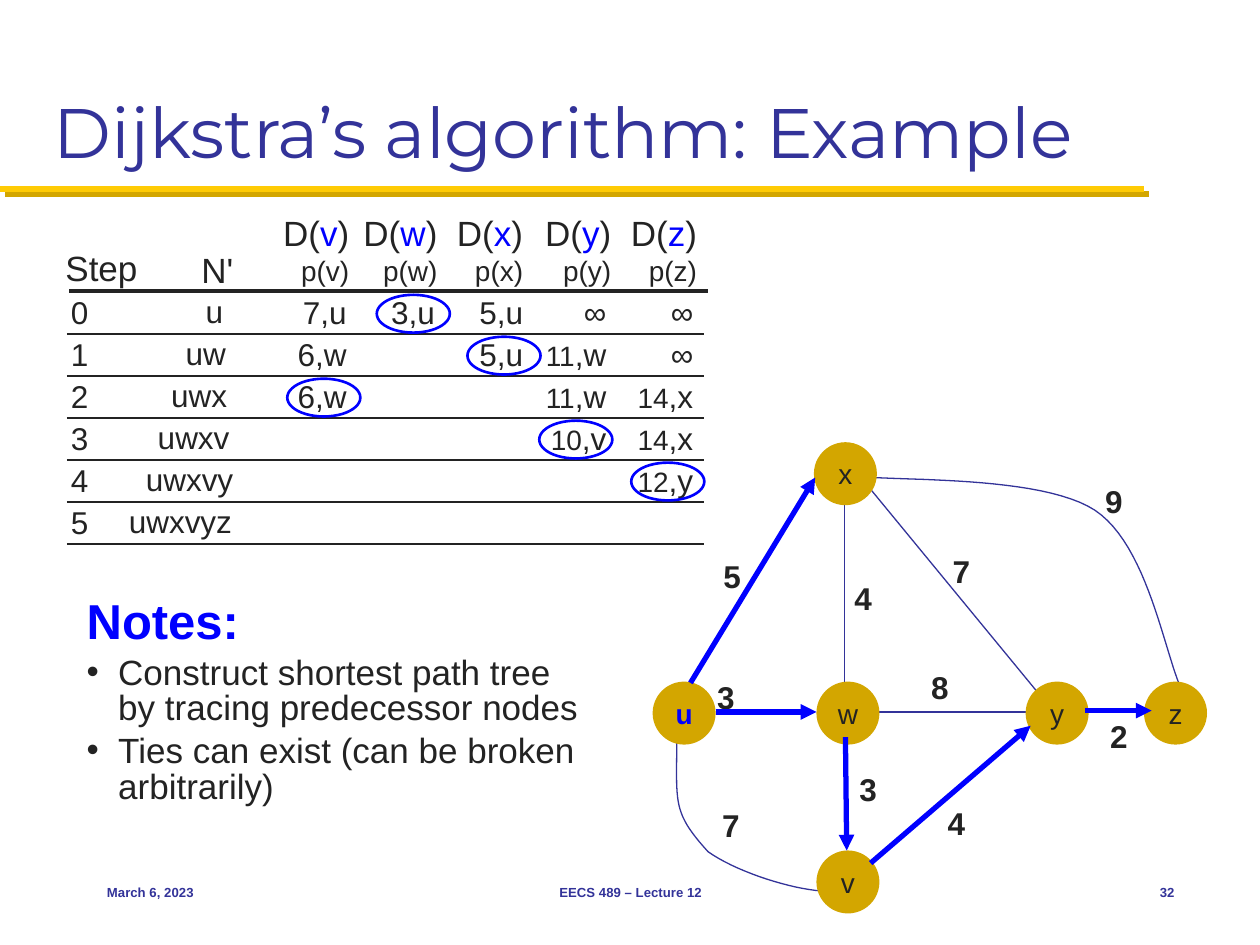
from lxml.etree import SubElement
from pptx import Presentation
from pptx.dml.color import RGBColor
from pptx.enum.shapes import MSO_CONNECTOR, MSO_SHAPE
from pptx.enum.text import MSO_ANCHOR as Anchor, PP_ALIGN as Align
from pptx.oxml.ns import qn
from pptx.util import Inches, Pt

INK = RGBColor(0x23, 0x23, 0x23)
BLUE = RGBColor(0x00, 0x00, 0xFF)
NAVY = RGBColor(0x33, 0x33, 0x99)
YELLOW = RGBColor(0xFF, 0xCB, 0x05)
GOLD = RGBColor(0xD3, 0xA6, 0x00)

FOOTER = {"size": Pt(7.5), "color": NAVY, "bold": True}
CELL = {"size": Pt(18), "color": INK}
HEADING = {"size": Pt(20), "color": INK}
SUBHEADING = {"size": Pt(16), "color": INK}
WEIGHT = {"size": Pt(18), "color": INK, "bold": True}
NODE_SIZE = 0.5

# Column name: right edge of heading, right edge of cells, left of ring
COLUMNS = {
    "v": (2.87, 2.85, 2.28),
    "w": (3.57, 3.55, 2.99),
    "x": (4.25, 4.25, 3.71),
    "y": (4.95, 4.91, 4.28),
    "z": (5.63, 5.6, 5.01),
}
# Nodes reached, right edge of that text, distances by column, column ringed
STEPS = [
    ("u", 1.87, {"v": "7,u", "w": "3,u", "x": "5,u", "y": "∞", "z": "∞"}, "w"),
    ("uw", 1.89, {"v": "6,w", "x": "5,u", "y": "11,w", "z": "∞"}, "x"),
    ("uwx", 1.9, {"v": "6,w", "y": "11,w", "z": "14,x"}, "v"),
    ("uwxv", 1.92, {"y": "10,v", "z": "14,x"}, "y"),
    ("uwxvy", 1.95, {"z": "12,y"}, "z"),
    ("uwxvyz", 1.94, {}, None),
]
ROW_HEIGHT = 0.333
CHARACTER_WIDTHS = {"w": 0.19, "∞": 0.19, ",": 0.08}

# Positions in the graph are relative to its left top corner
GRAPH = (5.18, 3.51)
NODES = {"x": (1.28, 0), "u": (0, 1.9), "z": (3.9, 1.9),
         "v": (1.3, 3.24), "y": (2.96, 1.9), "w": (1.3, 1.9)}
WEIGHTS = [("3", 0.41, 1.82), ("4", 1.5, 1.04), ("5", 0.46, 0.86),
           ("3", 1.54, 2.55), ("7", 0.45, 2.84), ("4", 2.24, 2.82),
           ("8", 2.11, 1.74), ("2", 3.53, 2.13), ("7", 2.28, 0.82),
           ("9", 3.49, 0.27)]
PLAIN_EDGES = [((1.52, 0.39), (1.52, 1.96)), ((1.62, 0.24), (3.15, 2.1)),
               ((1.78, 2.14), (2.98, 2.14))]
TREE_EDGES = [((3.43, 2.13), (3.96, 2.13)), ((1.73, 3.34), (3, 2.25)),
              ((1.53, 2.34), (1.54, 3.24)), ((0.3, 1.91), (1.29, 0.28)),
              ((0.5, 2.14), (1.3, 2.14))]
CURVED_EDGES = [
    [(0.19, 2.26), (0.2, 2.85), (0.13, 2.91), (0.44, 3.25),
     (0.75, 3.47), (1.46, 3.65), (1.55, 3.52)],
    [(1.62, 0.27), (1.93, 0.31), (3.08, 0.26), (3.51, 0.54),
     (3.93, 0.82), (4.06, 1.67), (4.2, 1.97)],
]


def add_run(paragraph, text, style, font_name="Arial"):
    run = paragraph.add_run()
    run.text = text
    run.font.name = font_name
    for name, value in style.items():
        if name == "color":
            run.font.color.rgb = value
        else:
            setattr(run.font, name, value)


def add_text(slide, box, paragraphs, align=Align.LEFT, anchor=Anchor.TOP,
             font_name="Arial"):
    """Add a text box; each paragraph is a list of (text, style) runs."""
    shape = slide.shapes.add_textbox(*map(Inches, box))
    frame = shape.text_frame
    frame.word_wrap = True
    frame.vertical_anchor = anchor
    for index, runs in enumerate(paragraphs):
        paragraph = frame.add_paragraph() if index else frame.paragraphs[0]
        paragraph.alignment = align
        for text, style in runs:
            add_run(paragraph, text, style, font_name)
    return frame


def add_line(slide, start, end, color, width):
    line = slide.shapes.add_connector(
        MSO_CONNECTOR.STRAIGHT, *map(Inches, (*start, *end)))
    line.line.color.rgb = color
    line.line.width = Pt(width)
    SubElement(line._element.spPr, qn("a:effectLst"))
    return line


def add_ellipse(slide, box):
    shape = slide.shapes.add_shape(MSO_SHAPE.OVAL, *map(Inches, box))
    shape.shadow.inherit = False
    return shape


def add_curve(slide, points):
    """Draw a chain of cubic Bezier curves as a fine open outline."""
    steps = 24
    outline = []
    for first in range(0, len(points) - 1, 3):
        a, b, c, d = points[first:first + 4]
        for step in range(steps + 1):
            t = step / steps
            s = 1 - t
            outline.append(tuple(
                Inches(s**3 * a[i] + 3 * s * s * t * b[i]
                       + 3 * s * t * t * c[i] + t**3 * d[i])
                for i in range(2)))
    builder = slide.shapes.build_freeform(*outline[0], scale=1.0)
    builder.add_line_segments(outline[1:], close=False)
    curve = builder.convert_to_shape()
    curve.shadow.inherit = False
    curve.fill.background()
    curve.line.color.rgb = NAVY
    curve.line.width = Pt(0.75)


def add_title(slide, box):
    rule = add_line(slide, (0, 1.5), (9.08, 1.5), YELLOW, 3.5)
    effects = rule._element.spPr.find(qn("a:effectLst"))
    shadow = SubElement(effects, qn("a:outerShdw"), dist=str(Pt(4.2)),
                        dir="2700000", algn="ctr", rotWithShape="0")
    SubElement(shadow, qn("a:srgbClr"), val=str(GOLD))
    add_text(slide, box, [[("Dijkstra’s algorithm: Example",
                            {"size": Pt(40), "color": NAVY})]],
             anchor=Anchor.BOTTOM, font_name="Montserrat")


def add_cell(slide, right, top, text):
    width = 0.22 + sum(CHARACTER_WIDTHS.get(letter, 0.14) for letter in text)
    number, comma, node = text.partition(",")
    runs = [(text, CELL)]
    if comma and len(number) == 2:
        runs = [(number, SUBHEADING), (comma + node, CELL)]
    add_text(slide, (right - width, top, width, 0.4), [runs], Align.RIGHT)


def add_steps(slide, left, top):
    add_text(slide, (left - 0.12, top + 0.28, 0.78, 0.44),
             [[("Step", HEADING)]], Align.RIGHT)
    add_text(slide, (left + 0.95, top + 0.29, 0.47, 0.44),
             [[("N'", HEADING)]], Align.RIGHT)
    for name, (heading_right, _, _) in COLUMNS.items():
        heading = [("D(", HEADING), (name, {**HEADING, "color": BLUE}),
                   (")", HEADING)]
        add_text(slide, (heading_right - 0.8, top, 0.8, 0.7),
                 [heading, [(f"p({name})", SUBHEADING)]], Align.RIGHT)

    add_line(slide, (left + 0.02, top + 0.68), (left + 5.09, top + 0.68),
             INK, 2.25)
    for step, (reached, right, distances, ringed) in enumerate(STEPS):
        row_top = top + 0.65 + step * ROW_HEIGHT
        bottom = row_top + 0.37
        add_line(slide, (left, bottom), (left + 5.06, bottom), INK, 1)
        add_cell(slide, left + 0.27, row_top, str(step))
        add_cell(slide, right, row_top - 0.01, reached)
        for name, distance in distances.items():
            add_cell(slide, COLUMNS[name][1], row_top, distance)
        if ringed:
            ring = add_ellipse(
                slide, (COLUMNS[ringed][2], row_top + 0.06, 0.58, 0.3))
            ring.fill.background()
            ring.line.color.rgb = BLUE
            ring.line.width = Pt(1.5)


def add_notes(slide, box):
    heading = {"size": Pt(28), "color": BLUE, "bold": True}
    points = ["Construct shortest path tree by tracing predecessor nodes",
              "Ties can exist (can be broken arbitrarily)"]
    frame = add_text(slide, box, [[("Notes:", heading)]]
                     + [[(point, HEADING)] for point in points])
    for index, paragraph in enumerate(frame.paragraphs):
        paragraph.line_spacing = 0.85
        paragraph.space_before = Pt(4 if index else 5.6)
        if index:
            properties = paragraph._p.get_or_add_pPr()
            properties.set("marL", str(Inches(0.25)))
            properties.set("indent", str(-Inches(0.25)))
            SubElement(properties, qn("a:buFont"), typeface="Arial")
            SubElement(properties, qn("a:buChar"), char="•")


def add_graph(slide, left, top):
    def place(point):
        return left + point[0], top + point[1]

    for start, end in PLAIN_EDGES:
        add_line(slide, place(start), place(end), NAVY, 0.75)
    for points in CURVED_EDGES:
        add_curve(slide, [place(point) for point in points])
    for weight, *corner in WEIGHTS:
        add_text(slide, (*place(corner), 0.34, 0.4), [[(weight, WEIGHT)]],
                 Align.CENTER)
    for name, corner in NODES.items():
        node = add_ellipse(slide, (*place(corner), NODE_SIZE, NODE_SIZE))
        node.fill.solid()
        node.fill.fore_color.rgb = GOLD
        node.line.fill.background()
        frame = node.text_frame
        frame.vertical_anchor = Anchor.MIDDLE
        frame.paragraphs[0].alignment = Align.CENTER
        source = {"color": BLUE, "bold": True} if name == "u" else {}
        add_run(frame.paragraphs[0], name, {**SUBHEADING, **source})
    for start, end in TREE_EDGES:
        arrow = add_line(slide, place(start), place(end), BLUE, 3)
        SubElement(arrow.line._get_or_add_ln(), qn("a:tailEnd"),
                   type="triangle")


def add_footer(slide, top):
    for text, left, width, align in [
            ("March 6, 2023", 0.75, 2.08, Align.LEFT),
            ("EECS 489 – Lecture 12", 3.42, 3.17, Align.CENTER),
            ("32", 8.75, 0.67, Align.RIGHT)]:
        add_text(slide, (left, top, width, 0.5), [[(text, FOOTER)]], align,
                 Anchor.MIDDLE)


def main():
    presentation = Presentation()
    presentation.slide_width = Inches(10)
    presentation.slide_height = Inches(7.5)
    slide = presentation.slides.add_slide(presentation.slide_layouts[6])
    add_title(slide, (0.33, 0.17, 9.33, 1.25))
    add_graph(slide, *GRAPH)
    add_steps(slide, 0.53, 1.63)
    add_notes(slide, (0.59, 4.71, 4.17, 2.62))
    add_footer(slide, 6.83)
    presentation.save("out.pptx")


if __name__ == "__main__":
    main()
